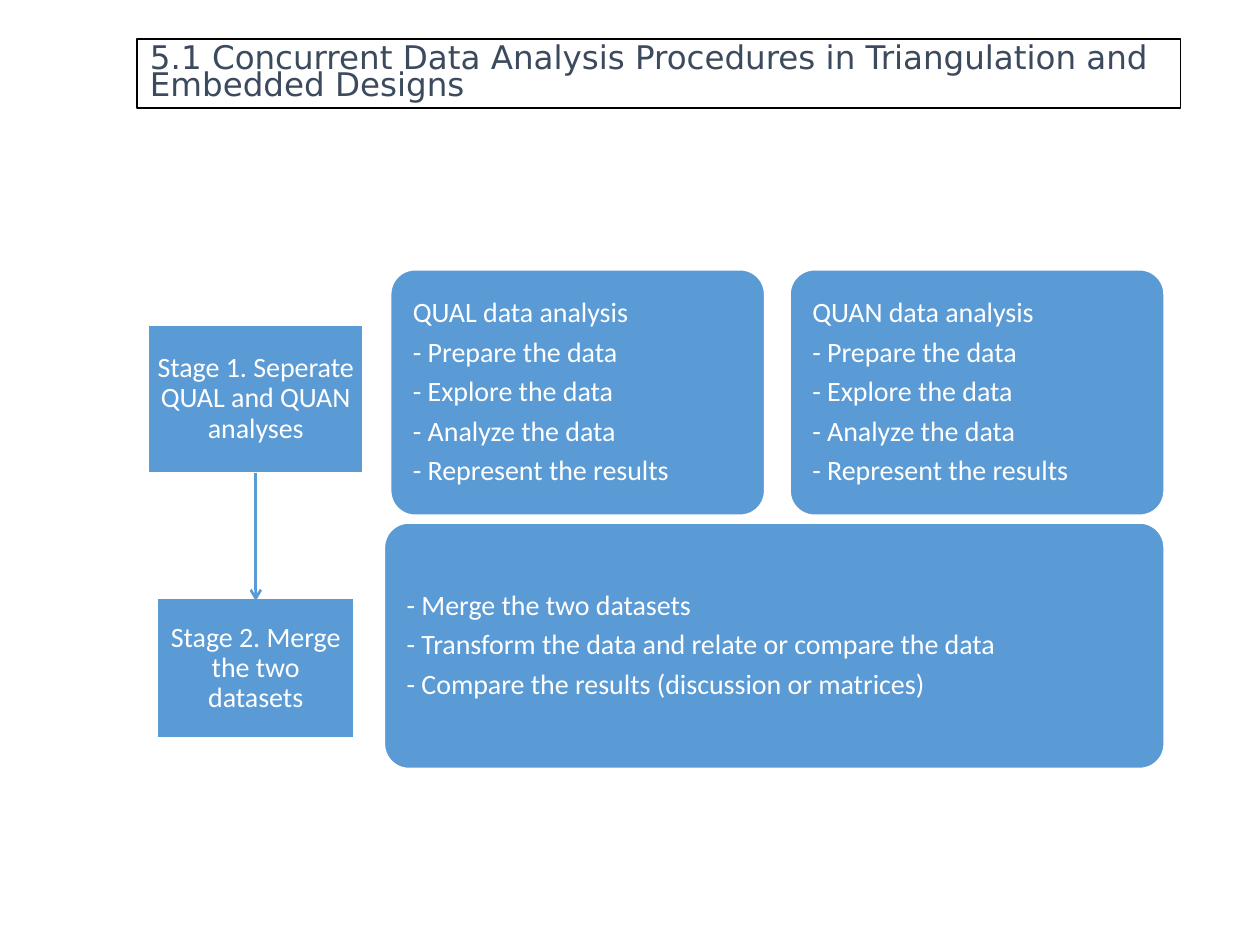
from dataclasses import dataclass

from lxml import etree
from pptx import Presentation
from pptx.dml.color import RGBColor
from pptx.enum.shapes import MSO_CONNECTOR, MSO_SHAPE
from pptx.enum.text import MSO_ANCHOR, MSO_AUTO_SIZE, PP_ALIGN
from pptx.oxml.ns import qn
from pptx.util import Inches, Pt

LEFT, CENTER = PP_ALIGN.LEFT, PP_ALIGN.CENTER
MIDDLE, BOTTOM = MSO_ANCHOR.MIDDLE, MSO_ANCHOR.BOTTOM
RECTANGLE, ROUNDED = MSO_SHAPE.RECTANGLE, MSO_SHAPE.ROUNDED_RECTANGLE
STRAIGHT = MSO_CONNECTOR.STRAIGHT
NO_AUTOFIT = MSO_AUTO_SIZE.NONE


@dataclass(frozen=True)
class Theme:
    accent: RGBColor = RGBColor(0x5B, 0x9B, 0xD5)
    white: RGBColor = RGBColor(0xFF, 0xFF, 0xFF)
    black: RGBColor = RGBColor(0, 0, 0)
    heading: RGBColor = RGBColor(0x3C, 0x4A, 0x5E)
    title_font: str = "DejaVu Sans"
    body_font: str = "Calibri"
    title_size: float = 18.6
    body_size: float = 16
    paragraph_gap: float = 5.3
    outline: float = 1
    arrow_width: float = 1.5


class SlideBuilder:
    def __init__(self, slide, theme):
        self.slide = slide
        self.theme = theme

    def paint(self, shape, fill, outline):
        shape.fill.solid()
        shape.fill.fore_color.rgb = fill
        shape.line.color.rgb = outline
        shape.line.width = Pt(self.theme.outline)

    def title(self, text, left, top, width, height):
        theme = self.theme
        title = self.slide.shapes.title
        title.left, title.top = Inches(left), Inches(top)
        title.width, title.height = Inches(width), Inches(height)
        self.paint(title, theme.white, theme.black)
        frame = title.text_frame
        frame.text = text
        frame.word_wrap = True
        frame.auto_size = NO_AUTOFIT
        frame.vertical_anchor = BOTTOM
        paragraph = frame.paragraphs[0]
        paragraph.alignment = LEFT
        paragraph.line_spacing = 0.7
        font = paragraph.runs[0].font
        font.name, font.size = theme.title_font, Pt(theme.title_size)
        font.color.rgb = theme.heading

    def box(self, kind, lines, left, top, width, height, inset, alignment):
        theme = self.theme
        box = self.slide.shapes.add_shape(
            kind, Inches(left), Inches(top), Inches(width), Inches(height))
        box.shadow.inherit = False
        self.paint(box, theme.accent, theme.white)
        frame = box.text_frame
        frame.text = "\n".join(lines)
        frame.word_wrap = True
        frame.vertical_anchor = MIDDLE
        frame.margin_left = frame.margin_right = Inches(inset)
        frame.margin_top = frame.margin_bottom = Inches(inset)
        for paragraph in frame.paragraphs:
            paragraph.alignment = alignment
            paragraph.line_spacing = 0.9
            paragraph.space_after = Pt(theme.paragraph_gap)
            font = paragraph.runs[0].font
            font.name, font.size = theme.body_font, Pt(theme.body_size)
            font.color.rgb = theme.white
        return box

    def panel(self, lines, left, top, width, height):
        panel = self.box(ROUNDED, lines, left, top, width, height, 0.12, LEFT)
        panel.adjustments[0] = 0.1

    def stage(self, text, left, top, width, height):
        self.box(RECTANGLE, [text], left, top, width, height, 0.07, CENTER)

    def down_arrow(self, x, top, bottom):
        arrow = self.slide.shapes.add_connector(
            STRAIGHT, Inches(x), Inches(top), Inches(x), Inches(bottom))
        arrow.line.color.rgb = self.theme.accent
        arrow.line.width = Pt(self.theme.arrow_width)
        etree.SubElement(arrow.line._get_or_add_ln(), qn("a:tailEnd"), type="arrow")
        etree.SubElement(arrow._element.spPr, qn("a:effectLst"))


def main():
    presentation = Presentation()
    presentation.slide_width, presentation.slide_height = Inches(10), Inches(7.5)
    title_only = presentation.slide_layouts[5]
    builder = SlideBuilder(presentation.slides.add_slide(title_only), Theme())

    panel_height = 1.95
    builder.panel([
        "- Merge the two datasets",
        "- Transform the data and relate or compare the data",
        "- Compare the results (discussion or matrices)",
    ], 3.05, 4.15, 6.19, panel_height)

    analysis_steps = [
        "- Prepare the data",
        "- Explore the data",
        "- Analyze the data",
        "- Represent the results",
    ]
    for strand, left in (("QUAL", 3.1), ("QUAN", 6.27)):
        builder.panel([f"{strand} data analysis", *analysis_steps],
                      left, 2.14, 2.97, panel_height)

    builder.stage("Stage 1. Seperate QUAL and QUAN analyses", 1.18, 2.58, 1.7, 1.17)
    builder.stage("Stage 2. Merge the two datasets", 1.25, 4.75, 1.56, 1.11)
    builder.down_arrow(2.03, 3.75, 4.77)
    builder.title("5.1 Concurrent Data Analysis Procedures in Triangulation "
                  "and Embedded Designs", 1.09, 0.31, 8.28, 0.55)

    presentation.save("out.pptx")


if __name__ == "__main__":
    main()
